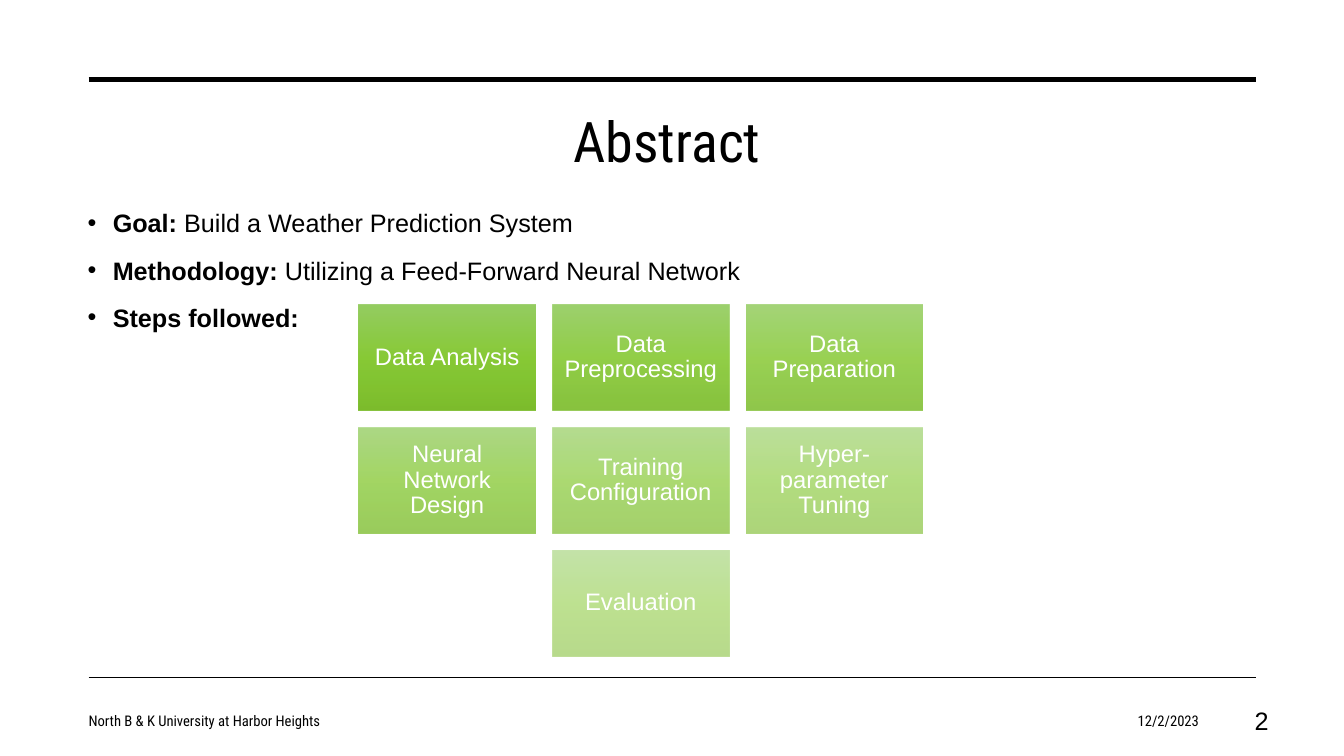
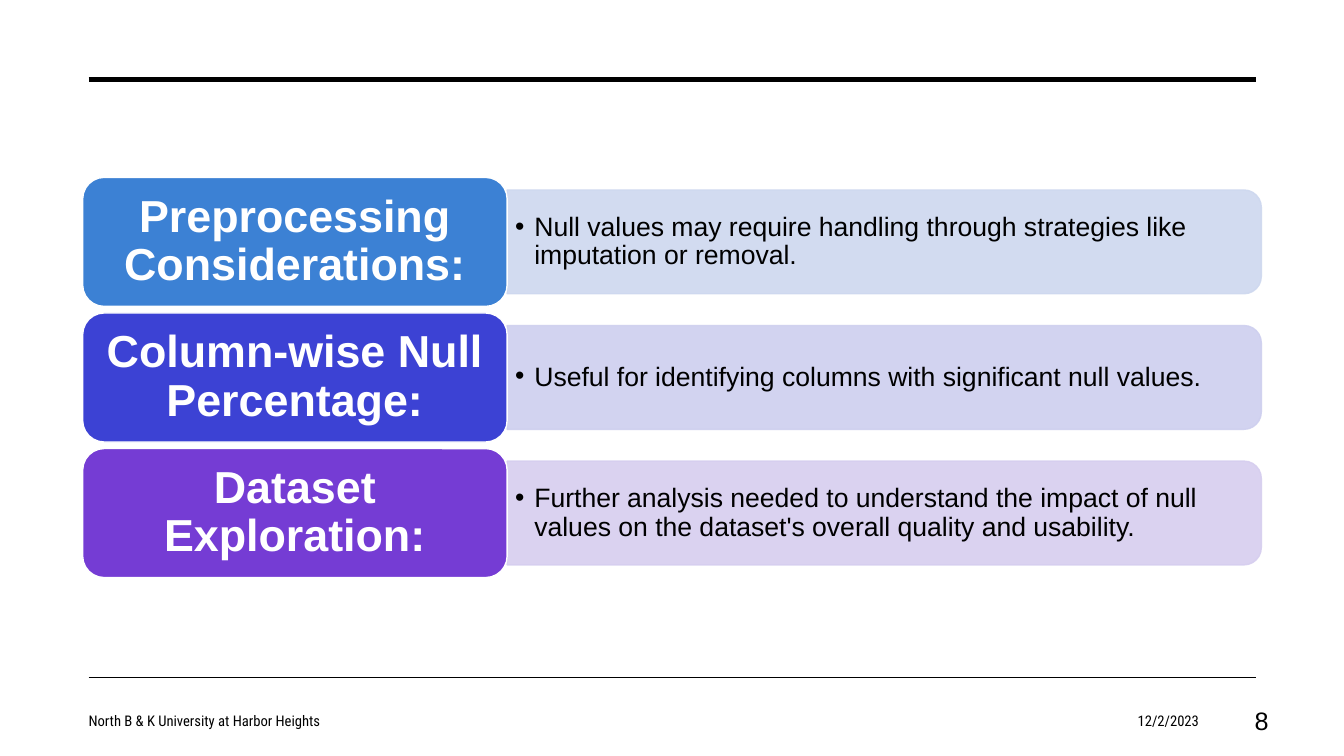
from lxml.etree import SubElement
from pptx import Presentation
from pptx.dml.color import RGBColor
from pptx.enum.shapes import MSO_CONNECTOR, MSO_SHAPE
from pptx.enum.text import MSO_ANCHOR as ANCHOR, PP_ALIGN as ALIGN
from pptx.oxml.ns import qn
from pptx.util import Inches, Pt

# Shared look
WIDTH, HEIGHT = 13.33, 7.5
BLACK, WHITE = "000000", "FFFFFF"
BODY_FONT, TITLE_FONT = "Arial", "Roboto Condensed"
RULES = [(0.79, 3.5), (6.72, 1)]  # height on the slide, weight
RULE_LEFT, RULE_RIGHT = 0.88, 12.46
FOOTER_TOP, FOOTER_HEIGHT = 6.95, 0.4
ORGANISATION, DATE = "North B & K University at Harbor Heights", "12/2/2023"

# Slide contents
ABSTRACT = [
    ("Goal: ", "Build a Weather Prediction System"),
    ("Methodology: ", "Utilizing a Feed-Forward Neural Network"),
    ("Steps followed:", ""),
]
STEPS = [
    ["Data Analysis", "Data Preprocessing", "Data Preparation"],
    ["Neural Network Design", "Training Configuration", "Hyper-parameter Tuning"],
    ["Evaluation"],
]
STEP_GRADIENT = [(0, "8AC852"), (50, "7CC522"), (100, "6FB617")]
FINDINGS = [
    ("Preprocessing Considerations:", "3C81D4", "CED8EF",
     "Null values may require handling through strategies like imputation or removal."),
    ("Column-wise Null Percentage:", "3C42D4", "CECFEF",
     "Useful for identifying columns with significant null values."),
    ("Dataset Exploration:", "753CD4", "D6CEEF",
     "Further analysis needed to understand the impact of null values on the "
     "dataset's overall quality and usability."),
]


def rgb(color):
    return RGBColor.from_string(color)


def set_alpha(color_element, percent):
    SubElement(color_element, qn("a:alpha"), val=str(round(percent * 1000)))


def add_bullet(paragraph, indent):
    props = paragraph._p.get_or_add_pPr()
    props.set("marL", str(Inches(indent)))
    props.set("indent", str(-Inches(indent)))
    SubElement(props, qn("a:buFont"), typeface=BODY_FONT)
    SubElement(props, qn("a:buChar"), char="•")


def write(shape, paragraphs, size=18, font=BODY_FONT, color=BLACK, align=ALIGN.LEFT,
          anchor=ANCHOR.MIDDLE, inset=(0.1, 0.05), spacing=1.0, before=0, indent=0,
          bold=False):
    """Fill a shape; a paragraph is a string or a (bold lead, plain rest) pair."""
    frame = shape.text_frame
    frame.word_wrap = True
    frame.vertical_anchor = anchor
    frame.margin_left = frame.margin_right = Inches(inset[0])
    frame.margin_top = frame.margin_bottom = Inches(inset[1])
    if isinstance(paragraphs, str):
        paragraphs = [paragraphs]
    for i, content in enumerate(paragraphs):
        paragraph = frame.add_paragraph() if i else frame.paragraphs[0]
        paragraph.alignment = align
        paragraph.line_spacing = spacing
        paragraph.space_before = Pt(before)
        if indent:
            add_bullet(paragraph, indent)
        parts = [(content, bold)] if isinstance(content, str) else zip(content, (True, False))
        for words, heavy in parts:
            if words:
                run = paragraph.add_run()
                run.text = words
                run.font.size, run.font.name, run.font.bold = Pt(size), font, heavy
                run.font.color.rgb = rgb(color)


def add_text(slide, box, paragraphs, **style):
    write(slide.shapes.add_textbox(*map(Inches, box)), paragraphs, **style)


def add_block(slide, kind, box, fill=None, line=None, alpha=100):
    block = slide.shapes.add_shape(kind, *map(Inches, box))
    block.shadow.inherit = False
    if fill:
        block.fill.solid()
        block.fill.fore_color.rgb = rgb(fill)
    if line:
        block.line.color.rgb = rgb(line)
        block.line.width = Pt(1)
    else:
        block.line.fill.background()
    if alpha < 100:
        for color_element in block._element.spPr.iter(qn("a:srgbClr")):
            set_alpha(color_element, alpha)
    return block


def fill_gradient(block, stops, alpha):
    block.fill.gradient()
    block.fill.gradient_angle = 270
    stop_list = block._element.spPr.find(".//" + qn("a:gsLst"))
    stop_list.clear()
    for position, color in stops:
        stop = SubElement(stop_list, qn("a:gs"), pos=str(position * 1000))
        set_alpha(SubElement(stop, qn("a:srgbClr"), val=color), alpha)


def add_page(deck, number):
    """A blank slide with the two rules and the footer."""
    slide = deck.slides.add_slide(deck.slide_layouts[6])
    for y, weight in RULES:
        rule = slide.shapes.add_connector(
            MSO_CONNECTOR.STRAIGHT, *map(Inches, (RULE_LEFT, y, RULE_RIGHT, y)))
        rule.line.color.rgb = rgb(BLACK)
        rule.line.width = Pt(weight)
        SubElement(rule._element.spPr, qn("a:effectLst"))
    for left, width, words, size, font, align in [
        (0.78, 4.96, ORGANISATION, 10.5, TITLE_FONT, ALIGN.LEFT),
        (9.15, 2.84, DATE, 10.5, TITLE_FONT, ALIGN.RIGHT),
        (11.94, 0.74, str(number), 18, BODY_FONT, ALIGN.RIGHT),
    ]:
        add_text(slide, (left, FOOTER_TOP, width, FOOTER_HEIGHT), words,
                 size=size, font=font, align=align)
    return slide


def build_abstract(deck):
    slide = add_page(deck, 2)
    add_text(slide, (0.77, 1.01, 11.69, 0.97), "Abstract", size=40, font=TITLE_FONT,
             align=ALIGN.CENTER, anchor=ANCHOR.TOP)
    add_text(slide, (0.77, 1.98, 11.69, 4.51), ABSTRACT, align=ALIGN.JUSTIFY,
             anchor=ANCHOR.TOP, spacing=1.1, before=10, indent=0.25)

    # Step tiles: centred rows that fade from 90 to 50 percent
    left, top, width, height, gap = 3.56, 3.02, 1.75, 1.05, 0.17
    columns, last = len(STEPS[0]), sum(map(len, STEPS)) - 1
    for row, names in enumerate(STEPS):
        shift = (columns - len(names)) / 2
        for column, name in enumerate(names):
            box = (left + (column + shift) * (width + gap),
                   top + row * (height + gap), width, height)
            tile = add_block(slide, MSO_SHAPE.RECTANGLE, box)
            fill_gradient(tile, STEP_GRADIENT, 90 - 40 * (row * columns + column) / last)
            write(tile, name, size=17, color=WHITE, align=ALIGN.CENTER,
                  inset=(0.07, 0.07), spacing=0.9)


def build_findings(deck):
    slide = add_page(deck, 8)
    left, top, label_width, label_height, pitch = 0.82, 1.76, 4.21, 1.28, 1.345
    panel_left, panel_width, panel_height = left + label_width, 7.48, 1.03
    for row, (label, color, tint, note) in enumerate(FINDINGS):
        y = top + row * pitch
        middle = y + label_height / 2
        # Panel: a shape with two round corners, turned to face right
        panel = add_block(
            slide, MSO_SHAPE.ROUND_2_SAME_RECTANGLE,
            (panel_left + (panel_width - panel_height) / 2, middle - panel_width / 2,
             panel_height, panel_width), fill=tint, line=tint, alpha=90)
        panel.rotation = 90
        add_text(slide, (panel_left, middle - 0.465, 7.43, 0.93), note, size=19,
                 inset=(0.08, 0.04), spacing=0.9, indent=0.19)
        # Label over the panel's left end
        tab = add_block(slide, MSO_SHAPE.ROUNDED_RECTANGLE,
                        (left, y, label_width, label_height), fill=color, line=WHITE)
        write(tab, label, size=32, color=WHITE, align=ALIGN.CENTER,
              inset=(0.13, 0.07), spacing=0.9, bold=True)


def main():
    deck = Presentation()
    deck.slide_width, deck.slide_height = Inches(WIDTH), Inches(HEIGHT)
    build_abstract(deck)
    build_findings(deck)
    deck.save("out.pptx")


if __name__ == "__main__":
    main()
